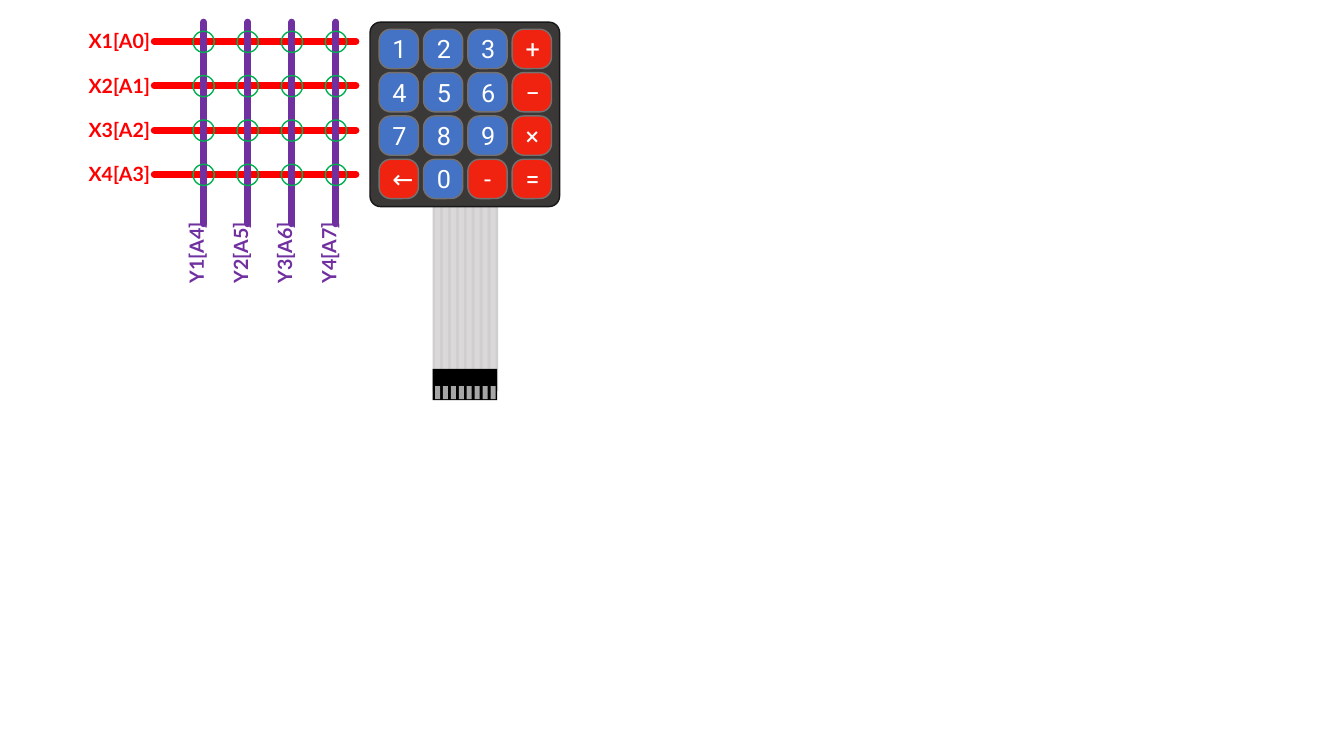
from dataclasses import dataclass

from lxml.etree import SubElement
from pptx import Presentation
from pptx.dml.color import RGBColor
from pptx.enum.shapes import MSO_CONNECTOR, MSO_SHAPE
from pptx.enum.text import MSO_ANCHOR, MSO_AUTO_SIZE, PP_ALIGN
from pptx.oxml.ns import qn
from pptx.util import Inches, Pt


@dataclass(frozen=True)
class Theme:
    row: str = "FF0000"
    column: str = "7030A0"
    crossing: str = "00B050"
    case: str = "3B3838"
    case_edge: str = "181717"
    digit_key: str = "4472C4"
    action_key: str = "F02311"
    key_edge: str = "767171"
    key_text: str = "FFFFFF"
    ribbon: str = "D0CECE"
    ribbon_core: str = "D9D9D9"
    plug: str = "000000"
    pin: str = "A6A6A6"
    key_font: str = "Roboto"
    label_font: str = "Lato"
    key_size: int = 18
    label_size: int = 14
    edge_width: int = 1
    wire_width: int = 5


theme = Theme()


def add_part(shapes, preset, box, fill=None, edge=None, corner=None):
    part = shapes.add_shape(preset, *map(Inches, box))
    part.shadow.inherit = False
    if corner is not None:
        part.adjustments[0] = corner
    if fill:
        part.fill.solid()
        part.fill.fore_color.rgb = RGBColor.from_string(fill)
    else:
        part.fill.background()
    if edge:
        part.line.color.rgb = RGBColor.from_string(edge)
        part.line.width = Pt(theme.edge_width)
    else:
        part.line.fill.background()
    return part


def add_text(paragraph, text, font, size, color, bold=False):
    run = paragraph.add_run()
    run.text = text
    run.font.name = font
    run.font.size = Pt(size)
    run.font.bold = bold
    run.font.color.rgb = RGBColor.from_string(color)


prs = Presentation()
prs.slide_width, prs.slide_height = Inches(13.33), Inches(7.5)
slide = prs.slides.add_slide(prs.slide_layouts[6])
keypad = slide.shapes.add_group_shape().shapes

# Ribbon cable: eight strands
strand_lefts = [4.29 + 0.55 * i / 7 for i in range(8)]
for left in strand_lefts:
    add_part(keypad, MSO_SHAPE.RECTANGLE, (left, 2.05, 0.1, 1.83), theme.ribbon)
    add_part(keypad, MSO_SHAPE.RECTANGLE, (left + 0.025, 2.05, 0.05, 1.83), theme.ribbon_core)

# Keypad case and keys
add_part(keypad, MSO_SHAPE.ROUNDED_RECTANGLE, (3.67, 0.22, 1.88, 1.83),
         theme.case, theme.case_edge, 0.057)
for row, symbols in enumerate(["123+", "456−", "789×", "←0-="]):
    for column, symbol in enumerate(symbols):
        key = add_part(keypad, MSO_SHAPE.ROUNDED_RECTANGLE,
                       (3.76 + 0.44 * column, 0.29 + 0.43 * row, 0.39, 0.39),
                       theme.digit_key if symbol.isdigit() else theme.action_key,
                       theme.key_edge, 0.298)
        key.text_frame.vertical_anchor = MSO_ANCHOR.MIDDLE
        caption = key.text_frame.paragraphs[0]
        caption.alignment = PP_ALIGN.CENTER
        add_text(caption, symbol, theme.key_font, theme.key_size, theme.key_text)

# Plug with one pin per strand
add_part(keypad, MSO_SHAPE.RECTANGLE, (4.29, 3.66, 0.64, 0.31), theme.plug)
for left in strand_lefts:
    add_part(keypad, MSO_SHAPE.RECTANGLE, (left + 0.025, 3.83, 0.05, 0.13), theme.pin)

# Matrix wires: red rows, then purple columns from right to left
row_ys = [0.41 + 0.44 * i for i in range(4)]
column_xs = [2.02 + 0.4375 * i for i in range(4)]
row_wires = [(1.53, y, 3.53, y) for y in row_ys]
column_wires = [(x, 0.22, x, 2.22) for x in reversed(column_xs)]
for wires, color in [(row_wires, theme.row), (column_wires, theme.column)]:
    wire_group = slide.shapes.add_group_shape().shapes
    for ends in wires:
        wire = wire_group.add_connector(MSO_CONNECTOR.STRAIGHT, *map(Inches, ends))
        wire.line.color.rgb = RGBColor.from_string(color)
        wire.line.width = Pt(theme.wire_width)
        wire.line._get_or_add_ln().set("cap", "rnd")
        SubElement(wire._element.spPr, qn("a:effectLst"))

# Crossings
for y in row_ys:
    for x in column_xs:
        add_part(slide.shapes, MSO_SHAPE.OVAL, (x - 0.105, y - 0.1, 0.21, 0.21),
                 edge=theme.crossing)

# Wire labels, with the column labels turned upwards
row_labels = [(f"X{i + 1}[A{i}]", (0.78, y - 0.17, 0.84, 0.34), theme.row, "horz")
              for i, y in enumerate(row_ys)]
column_labels = [(f"Y{i + 1}[A{i + 4}]", (x - 0.24, 2.17, 0.44, 0.74), theme.column, "vert270")
                 for i, x in enumerate(column_xs)]
for name, box, color, direction in row_labels + column_labels:
    label = slide.shapes.add_textbox(*map(Inches, box)).text_frame
    label.word_wrap = False
    label.auto_size = MSO_AUTO_SIZE.SHAPE_TO_FIT_TEXT
    label._txBody.bodyPr.set("vert", direction)
    add_text(label.paragraphs[0], name, theme.label_font, theme.label_size, color, bold=True)

prs.save("out.pptx")
